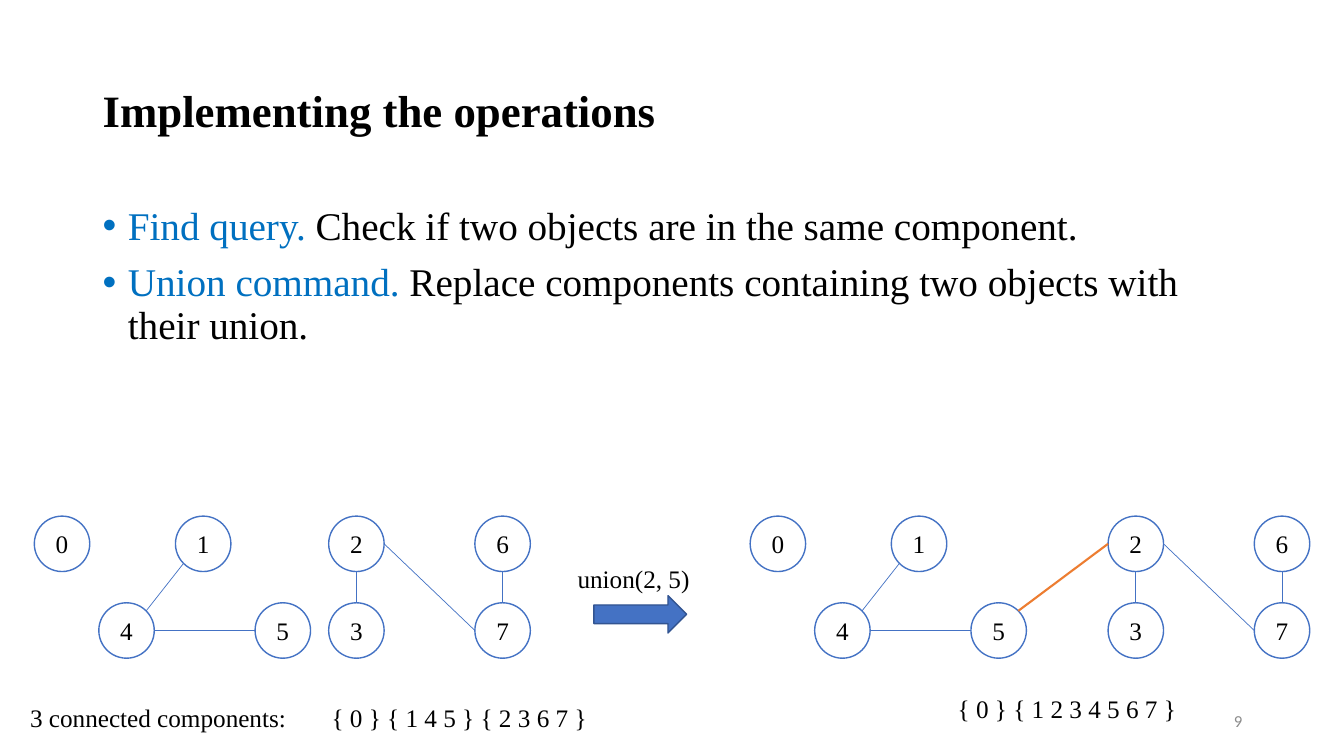
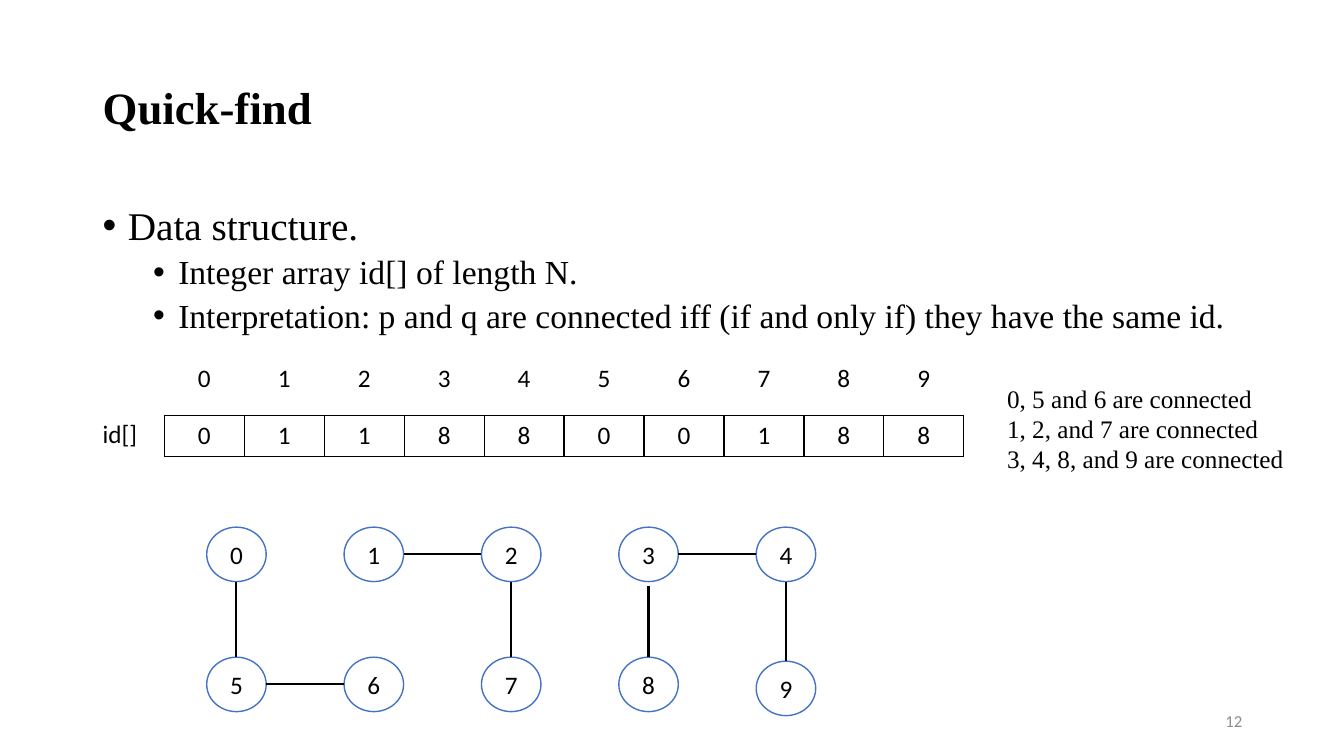
"""Build two slides on union-find: the operations, and the quick-find data structure."""
from dataclasses import dataclass, replace

from lxml import etree
from pptx import Presentation
from pptx import util as u
from pptx.dml.color import RGBColor
from pptx.enum import shapes, text
from pptx.oxml.ns import qn

COLORS = {
    "ink": "000000",
    "paper": "FFFFFF",
    "term": "0070C0",
    "node": "4472C4",
    "arrow_edge": "325491",
    "union": "ED7D31",
    "number": "8C8C8C",
}
SERIF, SANS = "Times New Roman", "Calibri"
TITLE = {"name": SERIF, "size": u.Pt(32), "bold": True}
BODY = [{"name": SERIF, "size": u.Pt(28)}, {"name": SERIF, "size": u.Pt(24)}]
NOTE = {"name": SERIF, "size": u.Pt(18)}
ARRAY = {"name": SANS, "size": u.Pt(18)}
NUMBER = {"name": SANS, "size": u.Pt(12)}

DIAGONAL = 0.146
SITES = {
    "N": (0.5, 0), "S": (0.5, 1), "W": (0, 0.5), "E": (1, 0.5),
    "NE": (1 - DIAGONAL, DIAGONAL), "SW": (DIAGONAL, 1 - DIAGONAL),
}


@dataclass(frozen=True)
class Node:
    """A numbered object, placed by its top left corner in inches."""
    label: str
    left: float
    top: float


@dataclass(frozen=True)
class Edge:
    """A link from one node's site to another's, with a gap below its end."""
    start: str
    leave: str
    end: str
    arrive: str
    gap: float = 0


@dataclass(frozen=True)
class GraphStyle:
    """The looks of a graph's nodes and edges."""
    width: float
    height: float
    font: dict
    edge_color: str
    edge_weight: float


@dataclass(frozen=True)
class Bullet:
    """A body point, with an optional highlighted term before it."""
    wording: str
    level: int = 0
    term: str = ""


def rgb(color: str) -> RGBColor:
    """Return the named colour."""
    return RGBColor.from_string(COLORS[color])


def add_run(paragraph, wording: str, font: dict, color: str = "ink") -> None:
    """Append formatted wording to a paragraph."""
    run = paragraph.add_run()
    run.text = wording
    for name, value in font.items():
        setattr(run.font, name, value)
    run.font.color.rgb = rgb(color)


def add_frame(slide, left: float, top: float, width: float, height: float):
    """Add a wrapping text box and return its frame."""
    box = slide.shapes.add_textbox(*map(u.Inches, (left, top, width, height)))
    box.text_frame.word_wrap = True
    return box.text_frame


def add_note(slide, left: float, top: float, width: float, lines: list[str],
             font: dict = NOTE) -> None:
    """Add lines of plain text."""
    frame = add_frame(slide, left, top, width, 0.1 + 0.3 * len(lines))
    for index, line in enumerate(lines):
        paragraph = frame.add_paragraph() if index else frame.paragraphs[0]
        add_run(paragraph, line, font)


def add_bullet(paragraph, bullet: Bullet, first: bool) -> None:
    """Fill a paragraph with a bullet point."""
    properties = paragraph._p.get_or_add_pPr()
    properties.set("marL", str(u.Inches(0.25 + 0.5 * bullet.level)))
    properties.set("indent", str(u.Inches(-0.25)))
    etree.SubElement(properties, qn("a:buFont"), typeface="Arial")
    etree.SubElement(properties, qn("a:buChar"), char="•")
    spacing = {
        "level": bullet.level,
        "line_spacing": 0.9,
        "space_before": u.Pt(0 if first else 5 if bullet.level else 10),
    }
    for name, value in spacing.items():
        setattr(paragraph, name, value)
    font = BODY[bullet.level]
    if bullet.term:
        add_run(paragraph, bullet.term, font, "term")
    add_run(paragraph, bullet.wording, font)


def add_page(deck, title: str, title_top: float, bullets: list[Bullet], number: int):
    """Add a slide with its title, body points and page number."""
    slide = deck.slides.add_slide(deck.slide_layouts[6])
    heading = add_frame(slide, 0.92, title_top, 11.5, 1.45)
    heading.vertical_anchor = text.MSO_ANCHOR.MIDDLE
    heading.paragraphs[0].line_spacing = 0.9
    add_run(heading.paragraphs[0], title, TITLE)

    body = add_frame(slide, 0.92, 2, 11.5, 4.76)
    for index, bullet in enumerate(bullets):
        paragraph = body.add_paragraph() if index else body.paragraphs[0]
        add_bullet(paragraph, bullet, index == 0)

    footer = add_frame(slide, 9.42, 6.95, 3, 0.4)
    footer.vertical_anchor = text.MSO_ANCHOR.MIDDLE
    footer.paragraphs[0].alignment = text.PP_ALIGN.RIGHT
    add_run(footer.paragraphs[0], str(number), NUMBER, "number")
    return slide


def add_solid(slide, preset, place: tuple[float, ...], fill: str, outline: str):
    """Add a filled and outlined preset shape."""
    shape = slide.shapes.add_shape(preset, *map(u.Inches, place))
    shape.shadow.inherit = False
    shape.fill.solid()
    shape.fill.fore_color.rgb = rgb(fill)
    shape.line.color.rgb = rgb(outline)
    shape.line.width = u.Pt(1)
    return shape


def add_edge(slide, nodes: dict[str, Node], edge: Edge, style: GraphStyle) -> None:
    """Draw a line between the sites of two nodes."""
    points = []
    for label, site in ((edge.start, edge.leave), (edge.end, edge.arrive)):
        across, down = SITES[site]
        points += [nodes[label].left + across * style.width,
                   nodes[label].top + down * style.height]
    points[3] += edge.gap
    link = slide.shapes.add_connector(shapes.MSO_CONNECTOR.STRAIGHT, *map(u.Inches, points))
    link.line.color.rgb = rgb(style.edge_color)
    link.line.width = u.Pt(style.edge_weight)
    etree.SubElement(link._element.spPr, qn("a:effectLst"))


def add_graph(slide, nodes: list[Node], edges: list[Edge], style: GraphStyle) -> dict[str, Node]:
    """Draw nodes and edges, and return the nodes by label."""
    for node in nodes:
        place = (node.left, node.top, style.width, style.height)
        circle = add_solid(slide, shapes.MSO_SHAPE.OVAL, place, "paper", "node")
        circle.text_frame.vertical_anchor = text.MSO_ANCHOR.MIDDLE
        paragraph = circle.text_frame.paragraphs[0]
        paragraph.alignment = text.PP_ALIGN.CENTER
        add_run(paragraph, node.label, style.font)
    by_label = {node.label: node for node in nodes}
    for edge in edges:
        add_edge(slide, by_label, edge, style)
    return by_label


def add_borders(cell) -> None:
    """Rule all four sides of a table cell."""
    properties = cell._tc.get_or_add_tcPr()
    for side in "LRTB":
        line = etree.SubElement(properties, qn(f"a:ln{side}"), w=str(u.Pt(1)))
        fill = etree.SubElement(line, qn("a:solidFill"))
        etree.SubElement(fill, qn("a:srgbClr"), val=COLORS["ink"])


def add_array(slide, top: float, values: str, ruled: bool) -> None:
    """Add a one-row table with a digit in each cell."""
    place = map(u.Inches, (1.63, top, 7.93, 0.41))
    table = slide.shapes.add_table(1, len(values), *place).table
    table.first_row = table.horz_banding = False
    for column, value in enumerate(values):
        table.columns[column].width = u.Inches(7.93 / len(values))
        cell = table.cell(0, column)
        if ruled:
            add_borders(cell)
        cell.fill.background()
        paragraph = cell.text_frame.paragraphs[0]
        paragraph.alignment = text.PP_ALIGN.CENTER
        add_run(paragraph, value, ARRAY)


def build_operations(deck) -> None:
    """Show the components before and after a union."""
    slide = add_page(deck, "Implementing the operations", 0.4, [
        Bullet("Check if two objects are in the same component.", term="Find query. "),
        Bullet("Replace components containing two objects with their union.",
               term="Union command. "),
    ], 9)
    upper, lower = 5.12, 5.98
    first_sets = [Node("0", 0.34, upper), Node("1", 1.74, upper),
                  Node("4", 0.98, lower), Node("5", 2.53, lower)]
    last_set = [Node("2", 3.26, upper), Node("3", 3.26, lower),
                Node("6", 4.71, upper), Node("7", 4.71, lower)]
    edges = [Edge("4", "NE", "1", "SW"), Edge("4", "E", "5", "W"), Edge("3", "N", "2", "S"),
             Edge("2", "E", "7", "W"), Edge("7", "N", "6", "S")]
    style = GraphStyle(0.55, 0.55, NOTE, "node", 0.5)
    for first_shift, last_shift in ((0, 0), (7.1, 7.73)):
        nodes = [replace(node, left=node.left + shift)
                 for group, shift in ((first_sets, first_shift), (last_set, last_shift))
                 for node in group]
        placed = add_graph(slide, nodes, edges, style)
    union_style = replace(style, edge_color="union", edge_weight=1.5)
    add_edge(slide, placed, Edge("2", "W", "5", "NE"), union_style)

    add_solid(slide, shapes.MSO_SHAPE.RIGHT_ARROW, (5.89, 5.91, 0.92, 0.37),
              "node", "arrow_edge")
    add_note(slide, 5.63, 5.54, 1.38, ["union(2, 5)"])
    add_note(slide, 0.2, 6.92, 2.87, ["3 connected components:"])
    add_note(slide, 3.19, 6.92, 2.82, ["{ 0 } { 1 4 5 } { 2 3 6 7 }"])
    add_note(slide, 9.4, 6.83, 2.45, ["{ 0 } { 1 2 3 4 5 6 7 }"])


def build_quick_find(deck) -> None:
    """Show the id array and the components it encodes."""
    slide = add_page(deck, "Quick-find", 0.37, [
        Bullet("Data structure."),
        Bullet("Integer array id[] of length N.", level=1),
        Bullet("Interpretation: p and q are connected iff (if and only if) "
               "they have the same id.", level=1),
    ], 12)
    add_array(slide, 3.56, "0123456789", ruled=False)
    add_array(slide, 4.12, "0118800188", ruled=True)
    add_note(slide, 0.92, 4.1, 0.61, ["id[]"], ARRAY)
    add_note(slide, 9.89, 3.75, 3, ["0, 5 and 6 are connected", "1, 2, and 7 are connected",
                                    "3, 4, 8, and 9 are connected"])
    nodes = [Node(str(index), 2.05 + 1.3625 * (index % 5), 5.23 + 1.29 * (index // 5))
             for index in range(10)]
    nodes[9] = replace(nodes[9], top=6.56)
    edges = [Edge("3", "E", "4", "W"), Edge("8", "N", "3", "S", gap=0.04),
             Edge("9", "N", "4", "S"), Edge("7", "N", "2", "S"), Edge("2", "W", "1", "E"),
             Edge("5", "N", "0", "S"), Edge("5", "E", "6", "W")]
    add_graph(slide, nodes, edges, GraphStyle(0.59, 0.54, ARRAY, "ink", 1.5))


def main() -> None:
    """Build and save the deck."""
    deck = Presentation()
    deck.slide_width, deck.slide_height = u.Inches(13.33), u.Inches(7.5)
    build_operations(deck)
    build_quick_find(deck)
    deck.save("out.pptx")


if __name__ == "__main__":
    main()
